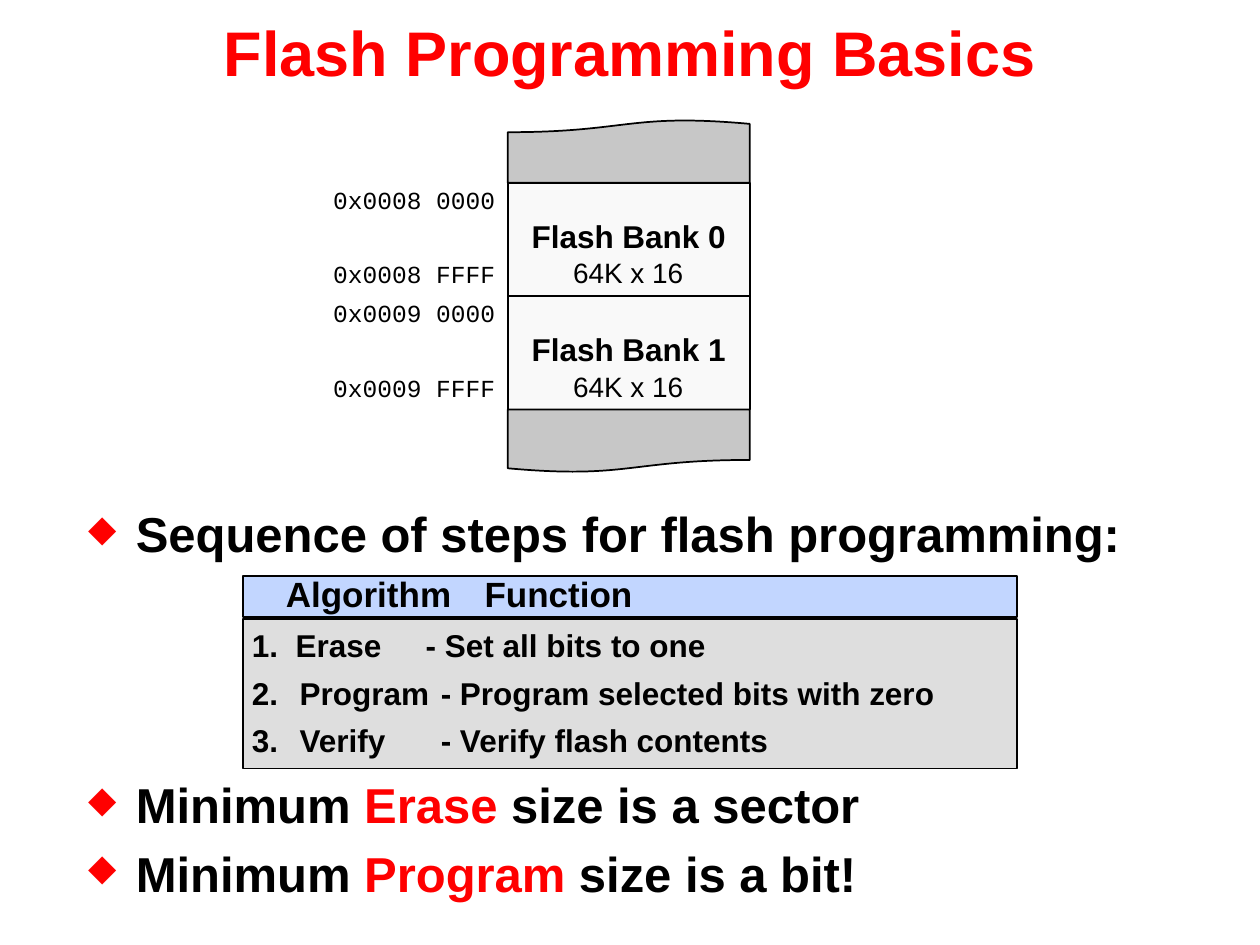
from pptx import Presentation
from pptx.dml.color import RGBColor
from pptx.enum.shapes import MSO_SHAPE
from pptx.enum.text import MSO_ANCHOR, MSO_AUTO_SIZE, PP_ALIGN
from pptx.oxml import parse_xml
from pptx.oxml.ns import nsdecls
from pptx.util import Inches, Pt

RECT, WAVE = MSO_SHAPE.RECTANGLE, MSO_SHAPE.FLOWCHART_DOCUMENT
TOP, MIDDLE = MSO_ANCHOR.TOP, MSO_ANCHOR.MIDDLE
LEFT, CENTER, RIGHT = PP_ALIGN.LEFT, PP_ALIGN.CENTER, PP_ALIGN.RIGHT
GROW = MSO_AUTO_SIZE.SHAPE_TO_FIT_TEXT
BLACK, RED = "000000", "FF0000"

DIAMOND = ('<a:buClr {0}><a:srgbClr val="FF0000"/></a:buClr>',
           '<a:buSzPct {0} val="75000"/>',
           '<a:buChar {0} char="◆"/>')
NUMBER = ('<a:buFont {0} typeface="+mj-lt"/>',
          '<a:buAutoNum {0} type="arabicPeriod" startAt="2"/>',)


def color(value):
    return RGBColor.from_string(value)


def add_para(frame, first, runs, size, bold=True, face="Arial", align=LEFT,
             before=0, lines=0.8, hang=0, bullet=()):
    """Write one paragraph; runs is a list of (text, colour) pairs."""
    para = frame.paragraphs[0] if first else frame.add_paragraph()
    form = {"alignment": align, "line_spacing": lines, "space_before": Pt(before)}
    for name, value in form.items():
        setattr(para, name, value)
    props = para._p.get_or_add_pPr()
    if hang:
        props.set("marL", str(Inches(hang)))
        props.set("indent", str(-Inches(hang)))
    for xml in bullet:
        props.append(parse_xml(xml.format(nsdecls("a"))))
    for text, tint in runs:
        run = para.add_run()
        run.text = text
        for name, value in {"size": Pt(size), "bold": bold, "name": face}.items():
            setattr(run.font, name, value)
        run.font.color.rgb = color(tint)


def add_box(slide, x, y, w, h, wrap=False, anchor=TOP):
    box = slide.shapes.add_textbox(Inches(x), Inches(y), Inches(w), Inches(h))
    frame = box.text_frame
    frame.word_wrap = wrap
    frame.vertical_anchor = anchor
    if not wrap:
        frame.auto_size = GROW
    return frame


def add_block(slide, kind, x, y, w, h, fill):
    block = slide.shapes.add_shape(kind, Inches(x), Inches(y), Inches(w), Inches(h))
    block.shadow.inherit = False
    block.fill.solid()
    block.fill.fore_color.rgb = color(fill)
    block.line.color.rgb = color(BLACK)
    block.line.width = Pt(1)
    return block


def add_bullets(slide):
    frame = add_box(slide, 0.6, 4.04, 8.79, 3.2, wrap=True)
    # The second bullet leaves room for the step panel
    bullets = [
        (0, [("Sequence of steps for flash programming:", BLACK)]),
        (128, [("Minimum ", BLACK), ("Erase", RED), (" size is a sector", BLACK)]),
        (12, [("Minimum ", BLACK), ("Program", RED), (" size is a bit!", BLACK)]),
    ]
    for i, (gap, runs) in enumerate(bullets):
        add_para(frame, i == 0, runs, 28, before=gap, hang=0.38, bullet=DIAMOND)


def add_steps(slide):
    add_block(slide, RECT, 1.93, 4.57, 6.14, 0.33, "C2D6FF")
    add_block(slide, RECT, 1.93, 4.91, 6.14, 1.19, "DEDEDE")
    frame = add_box(slide, 1.9, 4.98, 6.12, 1.12)
    steps = [
        ("1.  Erase\t- Set all bits to one", ()),
        ("Program\t- Program selected bits with zero", NUMBER),
        ("Verify\t- Verify flash contents", NUMBER),
    ]
    for i, (text, bullet) in enumerate(steps):
        add_para(frame, i == 0, [(text, BLACK)], 18, before=9.7 if i else 0,
                 hang=0.38, bullet=bullet)
    head = add_box(slide, 2.17, 4.56, 3.45, 0.37)
    add_para(head, True, [("Algorithm\t Function", BLACK)], 20)


def add_bank(slide, index):
    top = 1.45 + 0.9 * index
    bank = add_block(slide, RECT, 4.03, top, 1.92, 0.9, "F9F9F9")
    bank.text_frame.vertical_anchor = MIDDLE
    add_para(bank.text_frame, True, [(f"Flash Bank {index}", BLACK)], 18, align=CENTER)
    # First and last address
    for shift, tail in ((0.01, "0000"), (0.6, "FFFF")):
        frame = add_box(slide, 2.54, top + shift, 1.49, 0.29, anchor=MIDDLE)
        add_para(frame, True, [(f"0x000{8 + index} {tail}", BLACK)], 14,
                 bold=False, face="Courier New", align=RIGHT)
    # Size
    frame = add_box(slide, 4.45, top + 0.58, 1.09, 0.32, anchor=MIDDLE)
    add_para(frame, True, [("64K x 16", BLACK)], 16, bold=False)


def main():
    deck = Presentation()
    deck.slide_width, deck.slide_height = Inches(10), Inches(7.5)
    slide = deck.slides.add_slide(deck.slide_layouts[6])

    # Title
    title = add_box(slide, 0, 0, 10, 0.81, wrap=True, anchor=MIDDLE)
    add_para(title, True, [("Flash Programming Basics", RED)], 36,
             align=CENTER, lines=1.0)

    # Bullets and step panel
    add_bullets(slide)
    add_steps(slide)

    # Memory map
    for index in range(2):
        add_bank(slide, index)
    for top, turn in ((3.25, 0), (0.95, 180)):
        add_block(slide, WAVE, 4.03, top, 1.92, 0.5, "C7C7C7").rotation = turn

    deck.save("out.pptx")


if __name__ == "__main__":
    main()
